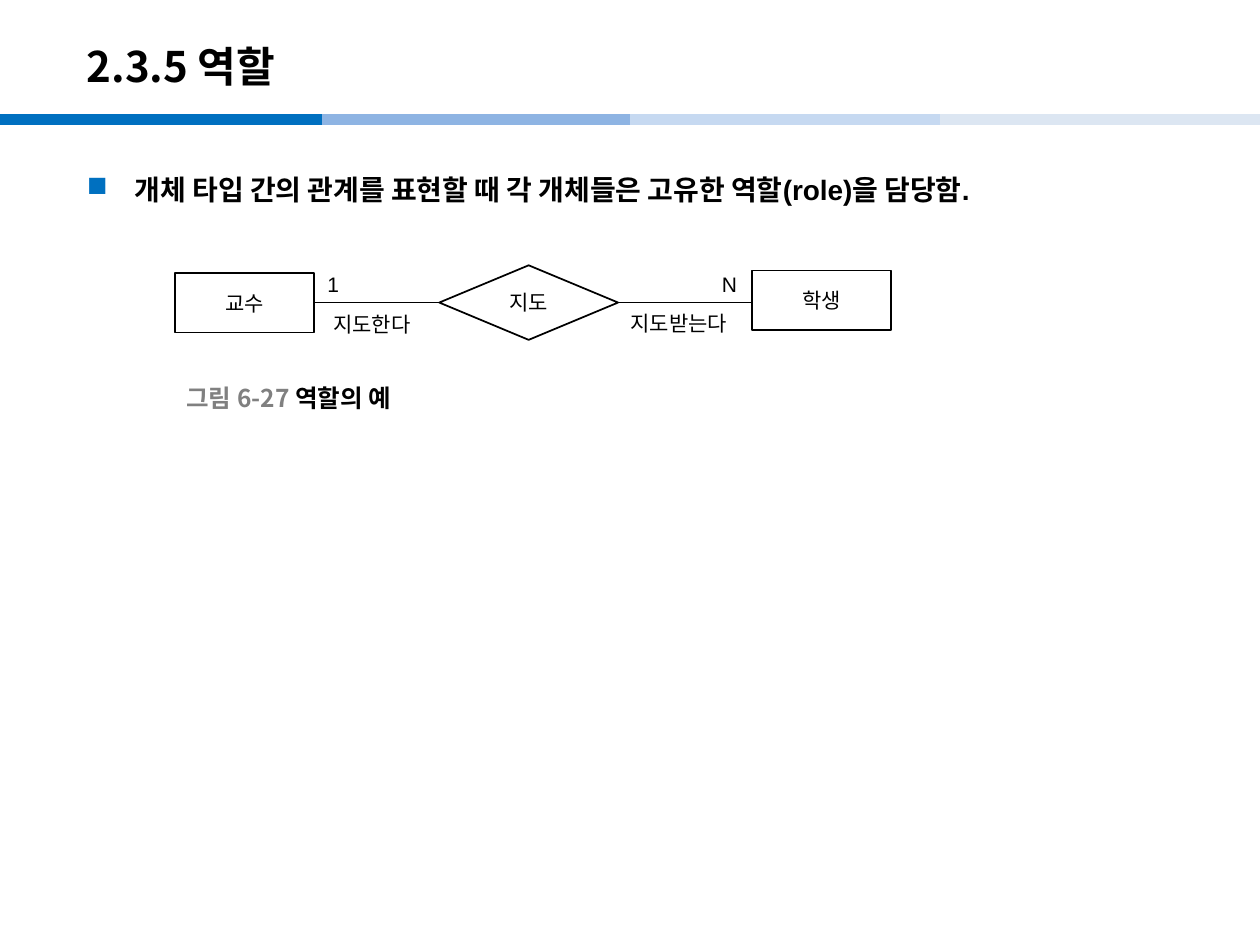
from lxml import etree
from pptx import Presentation
from pptx.dml.color import RGBColor
from pptx.enum.shapes import MSO_CONNECTOR, MSO_SHAPE
from pptx.enum.text import MSO_ANCHOR, PP_ALIGN
from pptx.oxml.ns import qn
from pptx.util import Pt

STRAIGHT = MSO_CONNECTOR.STRAIGHT
RECT, DIAMOND = MSO_SHAPE.RECTANGLE, MSO_SHAPE.FLOWCHART_DECISION
TOP, MIDDLE = MSO_ANCHOR.TOP, MSO_ANCHOR.MIDDLE
CENTER = PP_ALIGN.CENTER

LATIN, KOREAN = "Arial", "Noto Sans CJK KR"
COLORS = {
    "text": "000000", "caption": "808080", "fill": "FFFFFF", "accent": "0070C0",
    "bar2": "8EB4E3", "bar3": "C6D9F1", "bar4": "DCE6F2",
}


def rgb(key):
    return RGBColor.from_string(COLORS[key])


def add_run(p, text, size, font=LATIN, color="text", bold=False):
    r = p.add_run()
    r.text = text
    r.font.size, r.font.bold, r.font.name = Pt(size), bold, font
    r.font.color.rgb = rgb(color)
    # East Asian glyphs
    etree.SubElement(r.font._element, qn("a:ea"), typeface=KOREAN)


def add_text(slide, x, y, w, h, anchor=TOP, wrap=False):
    tf = slide.shapes.add_textbox(Pt(x), Pt(y), Pt(w), Pt(h)).text_frame
    tf.word_wrap, tf.vertical_anchor = wrap, anchor
    return tf.paragraphs[0]


def add_line(slide, x1, x2, y, color, width):
    line = slide.shapes.add_connector(STRAIGHT, Pt(x1), Pt(y), Pt(x2), Pt(y))
    line.line.color.rgb = rgb(color)
    line.line.width = Pt(width)
    etree.SubElement(line._element.spPr, qn("a:effectLst"))


def add_node(slide, shape, x, y, w, h, text):
    sp = slide.shapes.add_shape(shape, Pt(x), Pt(y), Pt(w), Pt(h))
    sp.shadow.inherit = False
    sp.fill.solid()
    sp.fill.fore_color.rgb = rgb("fill")
    sp.line.color.rgb = rgb("text")
    sp.line.width = Pt(1)
    tf = sp.text_frame
    tf.vertical_anchor = MIDDLE
    p = tf.paragraphs[0]
    p.alignment = CENTER
    add_run(p, text, 12, KOREAN)


def add_bullet(p, indent):
    p.line_spacing = 1.5
    pPr = p._p.get_or_add_pPr()
    pPr.set("marL", str(Pt(indent)))
    pPr.set("indent", str(-Pt(indent)))
    clr = etree.SubElement(pPr, qn("a:buClr"))
    etree.SubElement(clr, qn("a:srgbClr"), val=COLORS["accent"])
    etree.SubElement(pPr, qn("a:buChar"), char="■")


def main():
    prs = Presentation()
    prs.slide_width, prs.slide_height = Pt(720), Pt(540)
    s = prs.slides.add_slide(prs.slide_layouts[6])

    # Header bars and title
    bars = [(0, "accent"), (184, "bar2"), (360, "bar3"), (537, "bar4")]
    for x, color in bars:
        add_line(s, x, min(x + 184, 720), 68.4, color, 6)
    p = add_text(s, 42.5, 15.8, 595.4, 43.2, MIDDLE, True)
    add_run(p, "2.3.5 역할", 24, KOREAN, bold=True)

    # Body statement
    p = add_text(s, 42.5, 85.7, 635, 430.6, wrap=True)
    add_bullet(p, 27.4)
    add_run(p, "개체 타입 간의 관계를 표현할 때 각 개체들은 고유한 역할(role)을 담당함.",
            16, bold=True)

    # Relationship diagram
    add_line(s, 180, 429.8, 172.8, "text", 0.75)
    add_node(s, DIAMOND, 251, 151.6, 102.2, 42.6, "지도")
    add_node(s, RECT, 100, 156, 79.4, 34, "교수")
    add_node(s, RECT, 429.8, 154.6, 79.4, 34, "학생")

    # Roles and cardinalities
    labels = [
        ("지도한다", 183.3, 174.4, 63.4), ("지도받는다", 353.2, 174, 74.9),
        ("1", 180, 151.8, 20.9), ("N", 405.4, 151.8, 23.8),
    ]
    for text, x, y, w in labels:
        add_run(add_text(s, x, y, w, 21.6), text, 12)

    # Figure caption
    p = add_text(s, 99.4, 216, 147.6, 22.3, MIDDLE)
    add_run(p, "그림 6-27 ", 14, KOREAN, "caption", True)
    add_run(p, "역할의 예", 14, KOREAN, bold=True)

    prs.save("out.pptx")


if __name__ == "__main__":
    main()
